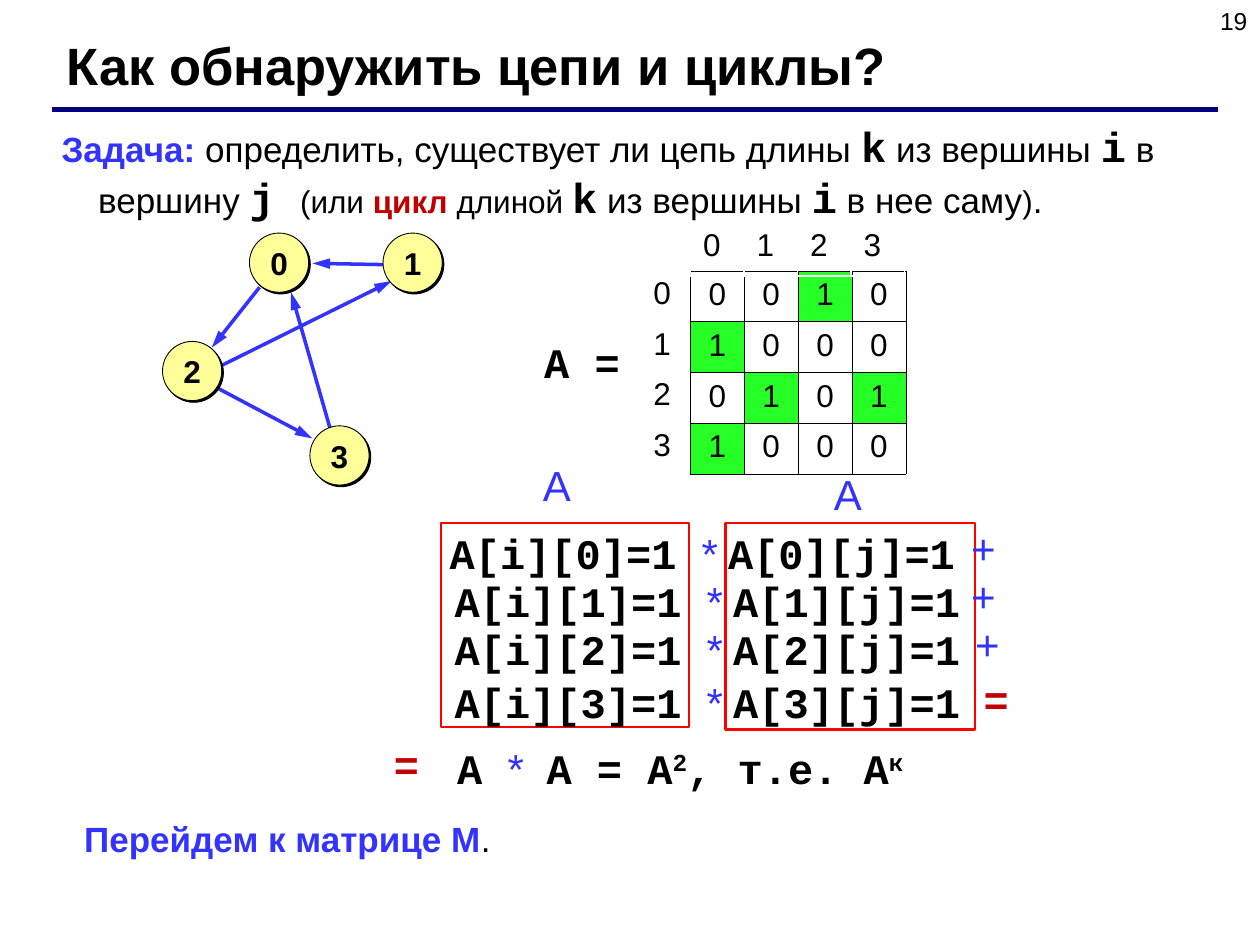
from lxml import etree
from pptx import Presentation
from pptx.dml.color import RGBColor
from pptx.enum import shapes, text
from pptx.oxml import ns
from pptx.util import Inches, Pt

BLACK = RGBColor(0x00, 0x00, 0x00)
NAVY = RGBColor(0x00, 0x00, 0x80)
BLUE = RGBColor(0x33, 0x33, 0xFF)
DARK_RED = RGBColor(0xC0, 0x00, 0x00)
RED = RGBColor(0xFF, 0x00, 0x00)
YELLOW = RGBColor(0xFF, 0xFF, 0x99)
GREEN = RGBColor(0x25, 0xFF, 0x25)
SANS, MONO = "Arial", "Courier New"
CENTER = text.PP_ALIGN.CENTER


def write(paragraph, runs):
    """Add runs given as (words, size, font, colour, bold)."""
    for words, size, font, color, bold in runs:
        run = paragraph.add_run()
        run.text = words
        run.font.size = Pt(size)
        run.font.name = font
        run.font.color.rgb = color
        run.font.bold = bold


def add_text(left, top, width, height, runs):
    """Add a wrapping text box and return its paragraph."""
    box = slide.shapes.add_textbox(Inches(left), Inches(top), Inches(width), Inches(height))
    box.text_frame.word_wrap = True
    box.text_frame.margin_right = 0
    paragraph = box.text_frame.paragraphs[0]
    write(paragraph, runs)
    return paragraph


presentation = Presentation()
presentation.slide_width, presentation.slide_height = Inches(10), Inches(7.5)
slide = presentation.slides.add_slide(presentation.slide_layouts[5])

# Title, rule and page number
title = slide.shapes.title
title.left, title.top, title.width, title.height = (Inches(v) for v in (0.43, 0.21, 8.9, 0.6))
title.text_frame.auto_size = text.MSO_AUTO_SIZE.NONE
title.text_frame.vertical_anchor = text.MSO_ANCHOR.TOP
title_paragraph = title.text_frame.paragraphs[0]
title_paragraph.alignment = text.PP_ALIGN.LEFT
write(title_paragraph, [("Как обнаружить цепи и циклы?", 30, SANS, BLACK, True)])

rule = slide.shapes.add_connector(
    shapes.MSO_CONNECTOR.STRAIGHT, Inches(0.41), Inches(0.87), Inches(9.67), Inches(0.87))
rule.line.color.rgb = NAVY
rule.line.width = Pt(3)
etree.SubElement(rule._element.spPr, ns.qn("a:effectLst"))

page_number = add_text(7.67, 0, 2.23, 0.52, [("19", 14, SANS, BLACK, False)])
page_number.alignment = text.PP_ALIGN.RIGHT

# Task and conclusion, with hanging indents
task = add_text(0.39, 0.91, 9.1, 0.9, [
    ("Задача: ", 20, SANS, BLUE, True),
    ("определить, существует ли цепь длины ", 20, SANS, BLACK, False),
    ("k", 24, MONO, BLACK, True),
    (" из вершины ", 20, SANS, BLACK, False),
    ("i", 24, MONO, BLACK, True),
    (" в вершину ", 20, SANS, BLACK, False),
    ("j ", 24, MONO, BLACK, True),
    ("(или ", 18, SANS, BLACK, False),
    ("цикл", 18, SANS, DARK_RED, True),
    (" длиной ", 18, SANS, BLACK, False),
    ("k", 24, MONO, BLACK, True),
    (" из вершины ", 20, SANS, BLACK, False),
    ("i", 24, MONO, BLACK, True),
    (" в нее саму", 20, SANS, BLACK, False),
    (")", 18, SANS, BLACK, False),
    (".", 20, SANS, BLACK, False),
])
conclusion = add_text(0.57, 6.44, 9.1, 0.44, [
    ("Перейдем к матрице М", 20, SANS, BLUE, True),
    (".", 20, SANS, BLACK, False),
])
for paragraph in (task, conclusion):
    properties = paragraph._p.get_or_add_pPr()
    properties.set("marL", str(Inches(0.29)))
    properties.set("indent", str(-Inches(0.29)))

# Directed graph: arrows run from the first point to the second
graph = slide.shapes.add_group_shape()
ARROWS = [
    (2.06, 2.28, 1.68, 2.76),
    (2.62, 3.4, 2.31, 2.32),
    (3.04, 2.1, 2.48, 2.09),
    (1.74, 2.91, 3.11, 2.23),
    (1.67, 3.05, 2.48, 3.48),
]
for ends in ARROWS:
    arrow = graph.shapes.add_connector(
        shapes.MSO_CONNECTOR.STRAIGHT, *(Inches(v) for v in ends))
    arrow.line.color.rgb = BLUE
    arrow.line.width = Pt(2)
    etree.SubElement(arrow.line._get_or_add_ln(), ns.qn("a:tailEnd"),
                     type="triangle", w="med", len="lg")
    etree.SubElement(arrow._element.spPr, ns.qn("a:effectLst"))

NODES = [("0", 1.98, 1.85), ("1", 3.04, 1.85), ("2", 1.29, 2.71), ("3", 2.46, 3.38)]
for name, left, top in NODES:
    node = graph.shapes.add_shape(
        shapes.MSO_SHAPE.OVAL, Inches(left), Inches(top), Inches(0.47), Inches(0.47))
    node.fill.solid()
    node.fill.fore_color.rgb = YELLOW
    node.line.color.rgb = BLACK
    node.line.width = Pt(0.5)
    node.shadow.inherit = False
    effects = node._element.spPr.find(ns.qn("a:effectLst"))
    shadow = etree.SubElement(effects, ns.qn("a:outerShdw"), dist=str(Pt(1.4)),
                              dir=str(45 * 60000), algn="ctr", rotWithShape="0")
    etree.SubElement(shadow, ns.qn("a:srgbClr"), val=str(BLACK))
    node.text_frame.word_wrap = False
    node.text_frame.vertical_anchor = text.MSO_ANCHOR.MIDDLE
    paragraph = node.text_frame.paragraphs[0]
    paragraph.alignment = CENTER
    write(paragraph, [(name, 18, SANS, BLACK, True)])

# Adjacency matrix with its column and row labels
TABLES = [
    (5.48, 2.15, 1.71, 1.61, ["0010", "1000", "0101", "1000"], CENTER, True),
    (5.48, 1.76, 1.7, 0.43, ["0123"], text.PP_ALIGN.LEFT, False),
    (5.04, 2.14, 0.43, 1.61, ["0", "1", "2", "3"], CENTER, False),
]
for left, top, width, height, rows, alignment, is_matrix in TABLES:
    table = slide.shapes.add_table(
        len(rows), len(rows[0]), Inches(left), Inches(top), Inches(width), Inches(height)).table
    table.first_row = False
    table.horz_banding = False
    for r, row in enumerate(rows):
        for c, value in enumerate(row):
            cell = table.cell(r, c)
            if is_matrix:
                for side in ("lnL", "lnR", "lnT", "lnB"):
                    border = etree.SubElement(cell._tc.get_or_add_tcPr(), ns.qn("a:" + side),
                                              w=str(Pt(0.23)))
                    fill = etree.SubElement(border, ns.qn("a:solidFill"))
                    etree.SubElement(fill, ns.qn("a:srgbClr"), val=str(BLACK))
            if is_matrix and value == "1":
                cell.fill.solid()
                cell.fill.fore_color.rgb = GREEN
            else:
                cell.fill.background()
            paragraph = cell.text_frame.paragraphs[0]
            paragraph.alignment = alignment
            write(paragraph, [(value, 18, SANS, BLACK, False)])

add_text(4.22, 2.62, 0.8, 0.5, [("A =", 24, MONO, BLACK, True)])

# Red frames around the two factors
for left, width, height in [(3.5, 1.97, 1.62), (5.76, 1.98, 1.64)]:
    frame = slide.shapes.add_shape(
        shapes.MSO_SHAPE.RECTANGLE, Inches(left), Inches(4.15), Inches(width), Inches(height))
    frame.fill.background()
    frame.line.color.rgb = RED
    frame.line.width = Pt(1.5)
    frame.shadow.inherit = False

# Products; a tab stop aligns the second factor
PRODUCTS = [(f"A[i][{n}]=1 ", f"A[{n}][j]=1", left, top, 4.21, 2.21)
            for n, (left, top) in enumerate([(3.47, 4.14), (3.51, 4.52), (3.51, 4.9), (3.51, 5.32)])]
PRODUCTS.append(("A ", "A = A", 3.53, 5.84, 3.74, 0.71))
for first, second, left, top, width, stop in PRODUCTS:
    product = add_text(left, top, width, 0.5, [
        (first, 24, MONO, BLACK, True),
        ("*\t", 24, SANS, BLUE, False),
        (second, 24, MONO, BLACK, True),
    ])
    tabs = etree.SubElement(product._p.get_or_add_pPr(), ns.qn("a:tabLst"))
    etree.SubElement(tabs, ns.qn("a:tab"), pos=str(Inches(stop)), algn="l")

# Powers complete the last product
write(product, [(words, 24, MONO, BLACK, True) for words in ("2", ", т.е. A", "к")])
for index in (-3, -1):
    product.runs[index].font._element.set("baseline", "30000")

# Signs beside the products and names above the frames
SIGNS = [
    ("+", 7.61, 4.1, BLUE), ("+", 7.61, 4.48, BLUE), ("+", 7.64, 4.86, BLUE),
    ("=", 7.71, 5.3, DARK_RED), ("=", 3.03, 5.81, DARK_RED),
    ("A", 4.21, 3.6, BLUE), ("A", 6.52, 3.67, BLUE),
]
for sign, left, top, color in SIGNS:
    add_text(left, top, 0.4, 0.5, [(sign, 24, SANS, color, sign == "=")])

presentation.save("out.pptx")
